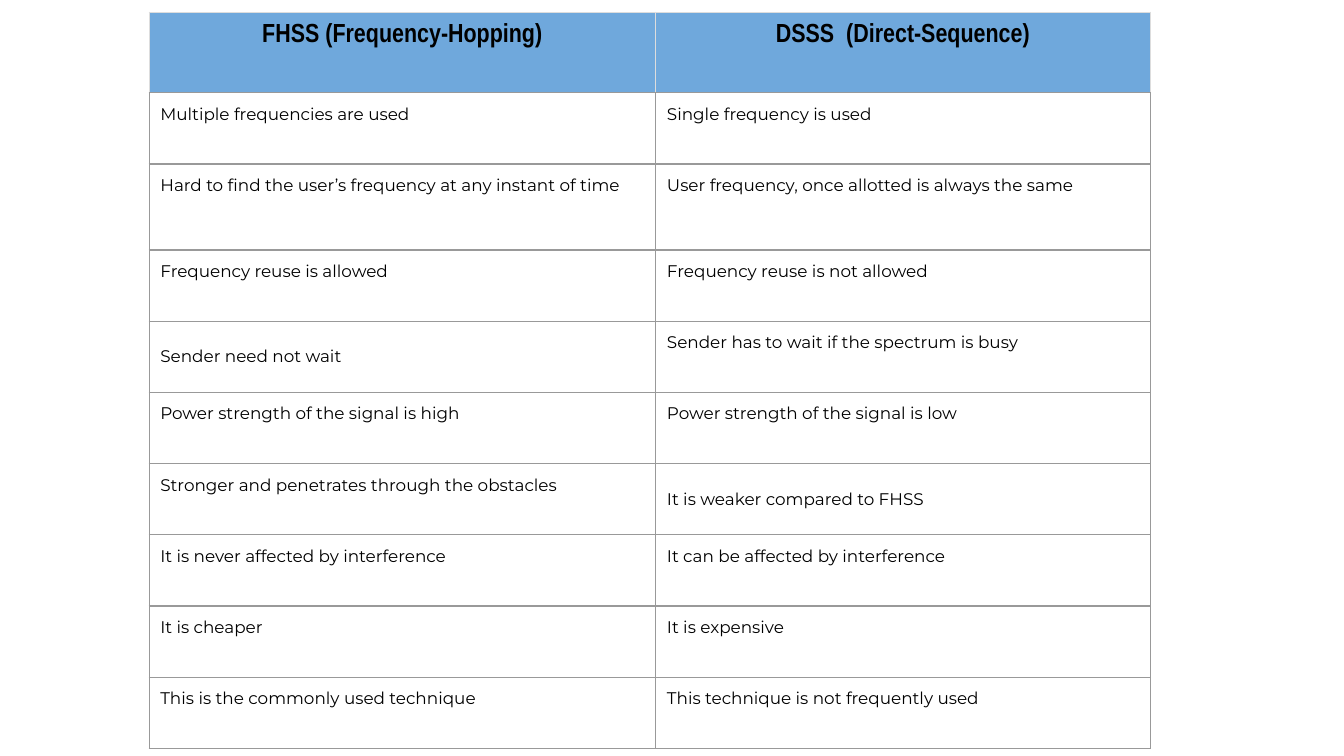
from lxml import etree
from pptx import Presentation
from pptx.dml.color import RGBColor
from pptx.enum.text import MSO_ANCHOR, PP_ALIGN
from pptx.oxml.ns import qn
from pptx.util import Inches, Pt

TOP, MIDDLE = MSO_ANCHOR.TOP, MSO_ANCHOR.MIDDLE
LEFT, CENTER = PP_ALIGN.LEFT, PP_ALIGN.CENTER

BLACK = RGBColor(0x00, 0x00, 0x00)
WHITE = RGBColor(0xFF, 0xFF, 0xFF)
HEADER_BLUE = RGBColor(0x6F, 0xA8, 0xDC)
GRID_GRAY = RGBColor(0x99, 0x99, 0x99)
HEADER_GRAY = RGBColor(0xDD, 0xDD, 0xDD)

COMPARISON = [
    ("FHSS (Frequency-Hopping)", "DSSS  (Direct-Sequence)"),
    ("Multiple frequencies are used", "Single frequency is used"),
    ("Hard to find the user’s frequency at any instant of time",
     "User frequency, once allotted is always the same"),
    ("Frequency reuse is allowed", "Frequency reuse is not allowed"),
    ("Sender need not wait", "Sender has to wait if the spectrum is busy"),
    ("Power strength of the signal is high", "Power strength of the signal is low"),
    ("Stronger and penetrates through the obstacles", "It is weaker compared to FHSS"),
    ("It is never affected by interference", "It can be affected by interference"),
    ("It is cheaper", "It is expensive"),
    ("This is the commonly used technique", "This technique is not frequently used"),
]
COL_WIDTHS = [3.77, 3.68]
ROW_HEIGHTS = [0.6, 0.53, 0.64] + [0.53] * 7
MIDDLE_CELLS = {(4, 0), (6, 1)}  # (row, column) centred vertically


class SlideBuilder:
    """Holds the table style and the current slide."""

    header_font, header_size = "Arial Narrow", Pt(14)
    body_font, body_size = "Montserrat", Pt(9)
    margin = Inches(1) // 12
    space_after = Pt(15)
    border_width = Pt(0.75)

    def __init__(self, prs):
        self.s = prs.slides.add_slide(prs.slide_layouts[6])
        fill = self.s.background.fill
        fill.solid()
        fill.fore_color.rgb = WHITE

    def table(self, left, top, rows, widths, heights, middle_cells):
        frame = self.s.shapes.add_table(
            len(rows), len(widths), Inches(left), Inches(top),
            Inches(sum(widths)), Inches(sum(heights)))
        tbl = frame.table
        tbl.horz_banding = False
        for col, width in zip(tbl.columns, widths):
            col.width = Inches(width)
        for row, height in zip(tbl.rows, heights):
            row.height = Inches(height)
        for i, texts in enumerate(rows):
            for j, text in enumerate(texts):
                anchor = MIDDLE if (i, j) in middle_cells else TOP
                self.cell(tbl.cell(i, j), text, i == 0, anchor)

    def cell(self, cell, text, header, anchor):
        cell.margin_left = cell.margin_right = self.margin
        cell.margin_top = cell.margin_bottom = self.margin
        cell.vertical_anchor = anchor

        # Fill and borders
        if header:
            cell.fill.solid()
            cell.fill.fore_color.rgb = HEADER_BLUE
        else:
            cell.fill.background()
        self.borders(cell, HEADER_GRAY if header else GRID_GRAY)

        # Text
        cell.text_frame.text = text
        p = cell.text_frame.paragraphs[0]
        p.alignment = CENTER if header else LEFT
        p.space_after = self.space_after
        font = p.runs[0].font
        font.name = self.header_font if header else self.body_font
        font.size = self.header_size if header else self.body_size
        font.bold = header
        font.color.rgb = BLACK

    def borders(self, cell, color):
        """Line the four sides; the bottom side always has the grid colour."""
        tc_pr = cell._tc.get_or_add_tcPr()
        sides = [("L", color), ("R", color), ("T", color), ("B", GRID_GRAY)]
        for i, (side, rgb) in enumerate(sides):
            ln = etree.Element(qn(f"a:ln{side}"), w=str(self.border_width))
            fill = etree.SubElement(ln, qn("a:solidFill"))
            etree.SubElement(fill, qn("a:srgbClr"), val=str(rgb))
            tc_pr.insert(i, ln)


def main():
    # Widescreen slide, 16:9
    prs = Presentation()
    prs.slide_width = Inches(10)
    prs.slide_height = prs.slide_width * 9 // 16

    # Comparison table
    slide = SlideBuilder(prs)
    slide.table(1.11, 0.09, COMPARISON, COL_WIDTHS, ROW_HEIGHTS, MIDDLE_CELLS)

    prs.save("out.pptx")


if __name__ == "__main__":
    main()
